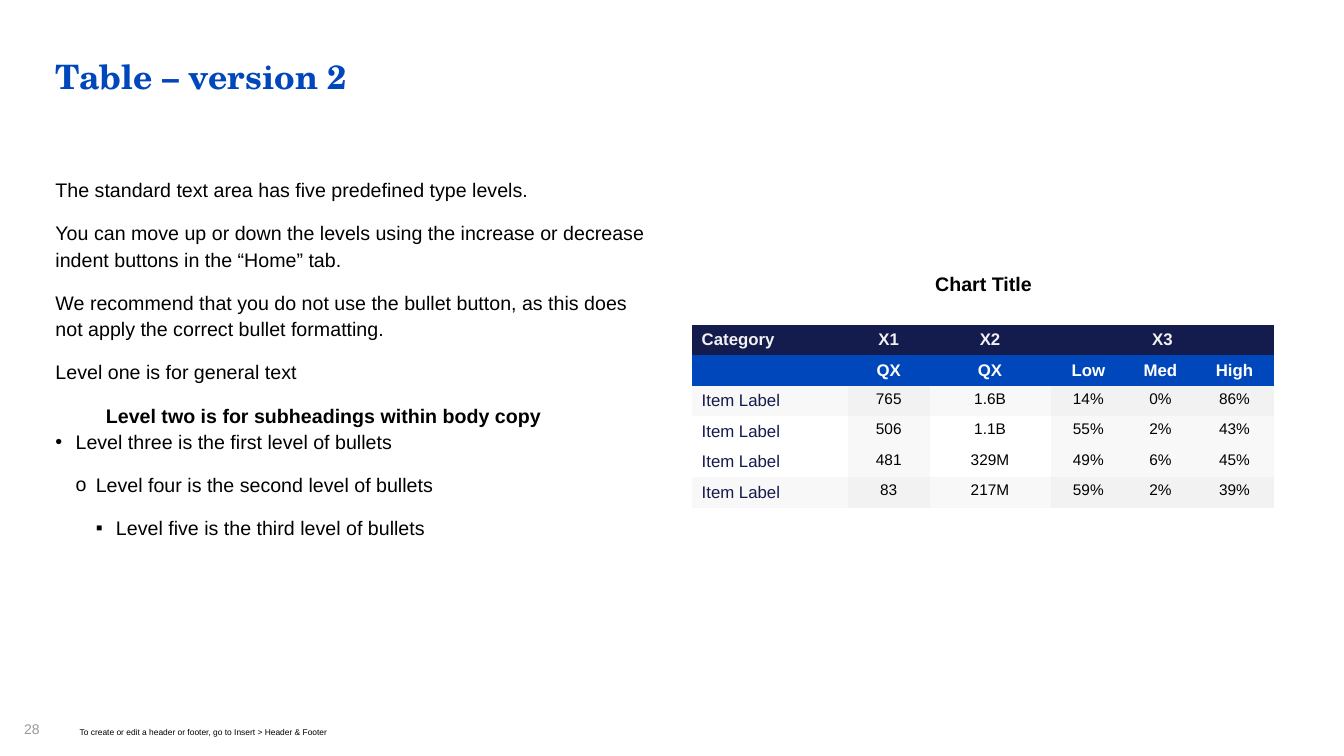
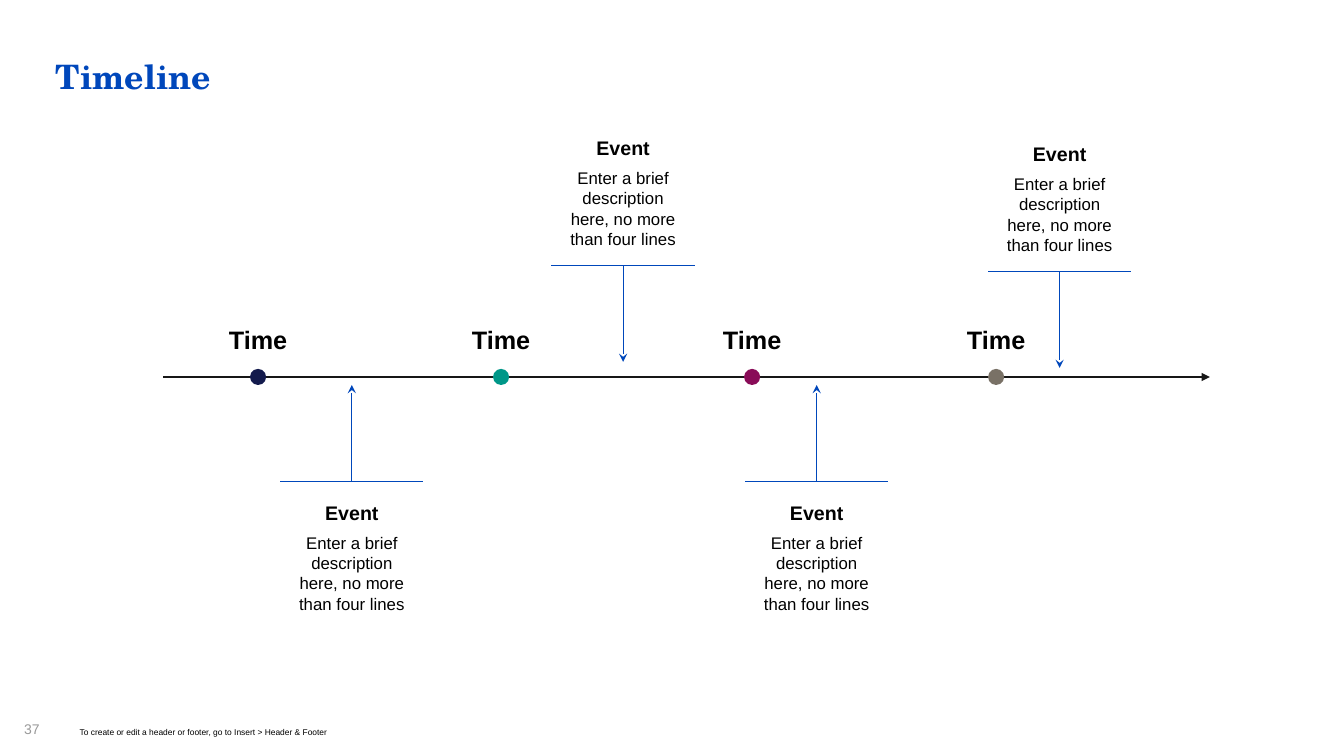
"""Builds a table slide and a timeline slide that share one title and footer style."""
from lxml.etree import SubElement
from pptx import Presentation
from pptx.dml.color import RGBColor
from pptx.enum.shapes import MSO_CONNECTOR, MSO_SHAPE
from pptx.enum.text import MSO_ANCHOR, PP_ALIGN
from pptx.oxml.ns import qn
from pptx.util import Inches, Pt

BLUE = RGBColor(0x00, 0x47, 0xBB)
NAVY = RGBColor(0x14, 0x1B, 0x4D)
TEAL = RGBColor(0x00, 0x97, 0x88)
PLUM = RGBColor(0x89, 0x0C, 0x58)
TAUPE = RGBColor(0x79, 0x71, 0x66)
BLACK = RGBColor(0x00, 0x00, 0x00)
INK = RGBColor(0x17, 0x17, 0x17)
GREY = RGBColor(0x99, 0x99, 0x99)
MIST = RGBColor(0xF2, 0xF2, 0xF2)
PALE = RGBColor(0xF8, 0xF8, 0xF8)
WHITE = RGBColor(0xFF, 0xFF, 0xFF)
SERIF, SANS = "TeX Gyre Schola", "Arial"
NO_STYLE = "{2D5ABB26-0587-4C30-8999-92F81FD0307C}"

FOOTER = "To create or edit a header or footer, go to Insert > Header & Footer"
BODY = [
    (0, "The standard text area has five predefined type levels."),
    (0, "You can move up or down the levels using the increase or decrease "
        "indent buttons in the “Home” tab."),
    (0, "We recommend that you do not use the bullet button, as this does "
        "not apply the correct bullet formatting."),
    (0, "Level one is for general text"),
    (1, "Level two is for subheadings within body copy"),
    (2, "Level three is the first level of bullets"),
    (3, "Level four is the second level of bullets"),
    (4, "Level five is the third level of bullets"),
]
BULLETS = {2: "•", 3: "o", 4: "▪"}
BULLET_STEP = 0.2

TABLE = [
    ["Category", "X1", "X2", "X3", "", ""],
    ["", "QX", "QX", "Low", "Med", "High"],
    ["Item Label", "765", "1.6B", "14%", "0%", "86%"],
    ["Item Label", "506", "1.1B", "55%", "2%", "43%"],
    ["Item Label", "481", "329M", "49%", "6%", "45%"],
    ["Item Label", "83", "217M", "59%", "2%", "39%"],
]
COL_WIDTHS = [1.55, 0.81, 1.2, 0.75, 0.68, 0.79]
HEADERS = [(NAVY, MIST), (BLUE, WHITE)]
SHADED_ROWS, LIGHT_COLS = (2, 5), (0, 2)

AXIS_Y, DOT, BOX_W, STEM = 3.74, 0.16, 1.42, 0.96
TIMES = [(1.85, NAVY), (4.26, TEAL), (6.75, PLUM), (9.17, TAUPE)]
EVENTS = [(2.78, 4.78), (5.47, 2.63), (7.39, 4.78), (9.8, 2.69)]
EVENT_TEXT = "Enter a brief description here, no more than four lines"


def style(p, size, color=BLACK, bold=False, name=SANS):
    for r in p.runs:
        r.font.size, r.font.bold, r.font.name = Pt(size), bold, name
        r.font.color.rgb = color


def add_text(s, at, text, size, color=BLACK, bold=False, name=SANS,
             inset=True, align=None, spacing=None, wrap=True):
    tf = s.shapes.add_textbox(*map(Inches, at)).text_frame
    tf.word_wrap = wrap
    if not inset:
        tf.margin_left = tf.margin_top = tf.margin_right = tf.margin_bottom = 0
    tf.text = text
    for p in tf.paragraphs:
        p.alignment, p.line_spacing = align, spacing
        style(p, size, color, bold, name)
    return tf


def add_line(s, start, end, color=BLUE, width=0.75, arrow=None):
    line = s.shapes.add_connector(
        MSO_CONNECTOR.STRAIGHT, *map(Inches, (*start, *end)))
    line.line.color.rgb, line.line.width = color, Pt(width)
    if arrow:
        SubElement(line.line._get_or_add_ln(), qn("a:tailEnd"), type=arrow)
    SubElement(line.element.spPr, qn("a:effectLst"))


def new_slide(prs, title, number):
    s = prs.slides.add_slide(prs.slide_layouts[6])
    plain = dict(inset=False, spacing=0.9)
    add_text(s, (0.55, 0.6, 12.23, 1.02), title, 24, BLUE, True, SERIF, **plain)
    add_text(s, (0.24, 7.17, 0.26, 0.33), str(number), 10, GREY, **plain)
    add_text(s, (0.79, 7.22, 4.82, 0.28), FOOTER, 6, **plain)
    return s


def add_body(s):
    tf = add_text(s, (0.55, 1.74, 5.92, 4.76),
                  "\n".join(text for _, text in BODY), 14, inset=False, spacing=1.12)
    for p, (level, _) in zip(tf.paragraphs, BODY):
        p.level = level
        p.space_after = Pt(0 if level == 1 else 12)
        style(p, 14, bold=level == 1)
        if level in BULLETS:
            pPr = p._p.get_or_add_pPr()
            pPr.set("marL", str(Inches(BULLET_STEP * (level - 1))))
            pPr.set("indent", str(Inches(-BULLET_STEP)))
            SubElement(pPr, qn("a:buFont"), typeface=SANS)
            SubElement(pPr, qn("a:buChar"), char=BULLETS[level])


def cell_look(row, col):
    if row < len(HEADERS):
        fill, color = HEADERS[row]
        return fill, color, 12, True
    light = col in LIGHT_COLS
    if row in SHADED_ROWS:
        fill = PALE if light else MIST
    else:
        fill = None if light else PALE
    return (fill, NAVY, 12, False) if col == 0 else (fill, BLACK, 11, False)


def add_data_table(s):
    frame = s.shapes.add_table(len(TABLE), len(COL_WIDTHS), Inches(6.86),
                               Inches(3.22), Inches(sum(COL_WIDTHS)), Inches(1.82))
    for style_id in frame.element.iter(qn("a:tableStyleId")):
        style_id.text = NO_STYLE
    table = frame.table
    table.first_row = table.horz_banding = False
    for column, width in zip(table.columns, COL_WIDTHS):
        column.width = Inches(width)
    for i, row in enumerate(TABLE):
        for j, text in enumerate(row):
            fill, color, size, bold = cell_look(i, j)
            cell = table.cell(i, j)
            cell.vertical_anchor = MSO_ANCHOR.MIDDLE
            if i >= len(HEADERS) and j:
                cell.margin_left = cell.margin_right = cell.margin_top = Inches(0.01)
            if fill is None:
                cell.fill.background()
            else:
                cell.fill.solid()
                cell.fill.fore_color.rgb = fill
            p = cell.text_frame.paragraphs[0]
            p.text = text
            p.alignment = PP_ALIGN.CENTER if j else PP_ALIGN.LEFT
            style(p, size, color, bold)
            if not text:
                SubElement(p._p, qn("a:endParaRPr"), sz=str(size * 100))
    table.cell(0, 3).merge(table.cell(0, 5))


def add_time(s, left, color):
    add_text(s, (left, 3.17, BOX_W, 0.4), "Time", 18, bold=True,
             align=PP_ALIGN.CENTER)
    dot = s.shapes.add_shape(
        MSO_SHAPE.OVAL, Inches(left + (BOX_W - DOT) / 2),
        Inches(AXIS_Y - DOT / 2), Inches(DOT), Inches(DOT))
    dot.shadow.inherit = False
    dot.fill.solid()
    dot.fill.fore_color.rgb = color
    dot.line.fill.background()


def add_event(s, left, bar_y):
    above = bar_y < AXIS_Y
    middle = left + BOX_W / 2
    tip_y = bar_y + STEM if above else bar_y - STEM
    text_y = bar_y - 1.33 if above else bar_y + 0.14
    add_line(s, (left, bar_y), (left + BOX_W, bar_y))
    add_line(s, (middle, bar_y), (middle, tip_y), arrow="stealth")
    tf = add_text(s, (left, text_y, BOX_W, 1.23), f"Event\n{EVENT_TEXT}", 12,
                  align=PP_ALIGN.CENTER)
    heading = tf.paragraphs[0]
    heading.space_after = Pt(6)
    style(heading, 14, bold=True)


def main():
    prs = Presentation()
    prs.slide_width, prs.slide_height = Inches(13.33), Inches(7.5)

    s = new_slide(prs, "Table – version 2", 28)
    add_body(s)
    add_text(s, (9.17, 2.65, 1.17, 0.34), "Chart Title", 14, bold=True,
             align=PP_ALIGN.CENTER, wrap=False)
    add_data_table(s)

    s = new_slide(prs, "Timeline", 37)
    add_line(s, (1.62, AXIS_Y), (12, AXIS_Y), INK, 1.25, "triangle")
    for left, color in TIMES:
        add_time(s, left, color)
    for left, bar_y in EVENTS:
        add_event(s, left, bar_y)

    prs.save("out.pptx")


if __name__ == "__main__":
    main()
